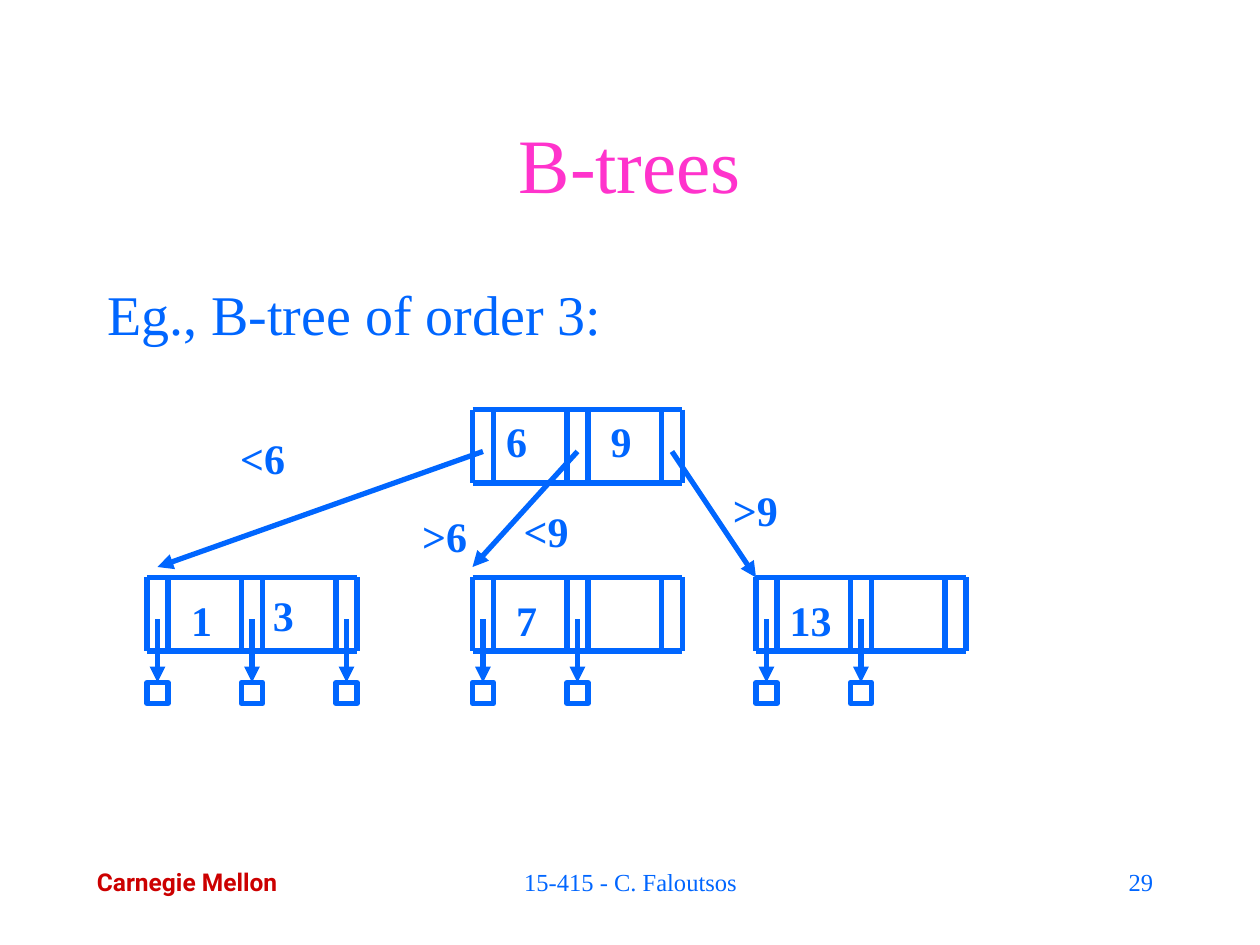
import pptx
import pptx.util
import pptx.dml.color
import pptx.enum.shapes
import pptx.enum.text
import pptx.oxml
import pptx.oxml.ns

COLORS = {"blue": "0066FF", "pink": "FF33CC", "red": "CC0000", "white": "FFFFFF"}
SERIF = "Times New Roman"
ALIGN = pptx.enum.text.PP_ALIGN
ANCHOR = pptx.enum.text.MSO_ANCHOR

# Content: the tree is laid out on a grid of 12 units to the inch
TITLE = "B-trees"
BODY = "Eg., B-tree of order 3:"
DIVIDERS = (0, 2, 9, 11, 18, 20)  # node walls, from the node's left side
POINTER_SLOTS = (0, 9, 18)
NODE_WIDTH, NODE_HEIGHT, SLOT = 20, 7, 2
ROOT_TOP, LEAF_TOP, RECORD_TOP = 39, 55, 65
ROOT_LEFT = 45
LEAVES = [(14, 3), (45, 2), (72, 2)]  # left, number of records
BRANCH_ENDS = [(15, 54), (45, 54), (72, 55)]
# text, left, top, width in inches
LABELS = [
    ("1", 1.42, 4.67, 0.36), ("3", 2.07, 4.63, 0.36),
    ("6", 3.92, 3.25, 0.36), ("7", 4, 4.67, 0.36),
    ("9", 4.75, 3.25, 0.36), ("13", 6.17, 4.67, 0.53),
    ("<6", 1.81, 3.38, 0.55), (">6", 3.25, 4, 0.56),
    ("<9", 4.06, 3.96, 0.55), (">9", 5.72, 3.8, 0.55),
]
# text, left, width, height, alignment, font, color, bold
FOOTERS = [
    ("Carnegie Mellon", 0.67, 1.81, 0.34, ALIGN.LEFT, "Roboto", "red", True),
    ("15-415 - C. Faloutsos", 3.42, 3.17, 0.5, ALIGN.CENTER, SERIF, "blue", False),
    ("29", 7.17, 2.08, 0.5, ALIGN.RIGHT, SERIF, "blue", False),
]

presentation = pptx.Presentation()
presentation.slide_width = pptx.util.Inches(10)
presentation.slide_height = pptx.util.Inches(7.5)
slide = presentation.slides.add_slide(presentation.slide_layouts[1])


def color(name):
    return pptx.dml.color.RGBColor.from_string(COLORS[name])


def grid(units):
    return pptx.util.Inches(units / 12)


def place(shape, left, top, width, height):
    shape.left, shape.top = pptx.util.Inches(left), pptx.util.Inches(top)
    shape.width, shape.height = pptx.util.Inches(width), pptx.util.Inches(height)


def write(shape, text, size, color_name, align, font_name=SERIF, bold=False,
          wrap=True, anchor=ANCHOR.TOP):
    frame = shape.text_frame
    frame.text = text
    frame.auto_size = pptx.enum.text.MSO_AUTO_SIZE.NONE
    frame.word_wrap = wrap
    frame.vertical_anchor = anchor
    paragraph = frame.paragraphs[0]
    paragraph.alignment = align
    paragraph.space_before = pptx.util.Pt(0)
    font = paragraph.runs[0].font
    font.name, font.size, font.bold = font_name, pptx.util.Pt(size), bold
    font.color.rgb = color(color_name)


def add_line(start, end, arrow=False):
    line = slide.shapes.add_connector(
        pptx.enum.shapes.MSO_CONNECTOR.STRAIGHT, *map(grid, start + end))
    line.line.color.rgb = color("blue")
    line.line.width = pptx.util.Pt(3)
    properties = line._element.spPr
    if arrow:
        tail = pptx.oxml.parse_xml(
            f'<a:tailEnd {pptx.oxml.ns.nsdecls("a")} type="triangle"/>')
        line.line._get_or_add_ln().append(tail)
    properties.append(pptx.oxml.parse_xml(
        f'<a:effectLst {pptx.oxml.ns.nsdecls("a")}/>'))
    return line


def add_node(left, top):
    bottom = top + NODE_HEIGHT
    for offset in DIVIDERS:
        add_line((left + offset, top), (left + offset, bottom))
    for y in (top, bottom):
        add_line((left, y), (left + NODE_WIDTH, y))


def add_record(left):
    record = slide.shapes.add_shape(
        pptx.enum.shapes.MSO_SHAPE.RECTANGLE,
        grid(left), grid(RECORD_TOP), grid(SLOT), grid(SLOT))
    record.shadow.inherit = False
    record.fill.solid()
    record.fill.fore_color.rgb = color("white")
    record.line.color.rgb = color("blue")
    record.line.width = pptx.util.Pt(3)
    center = left + SLOT / 2
    pointer = add_line((center, LEAF_TOP + 4), (center, RECORD_TOP), arrow=True)
    pointer.end_connect(record, 0)


# Title and body
title = slide.shapes.title
place(title, 0.75, 0.67, 8.5, 1.25)
write(title, TITLE, 44, "pink", ALIGN.CENTER, anchor=ANCHOR.MIDDLE)

body = slide.placeholders[1]
place(body, 0.75, 2.17, 8.5, 0.67)
write(body, BODY, 32, "blue", ALIGN.LEFT)
body_properties = body.text_frame.paragraphs[0]._p.get_or_add_pPr()
body_properties.set("marL", str(pptx.util.Inches(0.38)))
body_properties.set("indent", str(-pptx.util.Inches(0.38)))
body_properties.append(pptx.oxml.parse_xml(
    f'<a:buNone {pptx.oxml.ns.nsdecls("a")}/>'))

# Nodes and records
add_node(ROOT_LEFT, ROOT_TOP)
for leaf_left, record_count in LEAVES:
    add_node(leaf_left, LEAF_TOP)
    for slot in POINTER_SLOTS[:record_count]:
        add_record(leaf_left + slot)

# Branches from the root
for slot, branch_end in zip(POINTER_SLOTS, BRANCH_ENDS):
    add_line((ROOT_LEFT + slot + SLOT / 2, ROOT_TOP + 4), branch_end, arrow=True)

# Keys and range labels
for text, left, top, width in LABELS:
    label = slide.shapes.add_textbox(0, 0, 0, 0)
    place(label, left, top, width, 0.5)
    write(label, text, 24, "blue", ALIGN.CENTER, bold=True, wrap=False)

# Footer
for text, left, width, height, align, font_name, color_name, bold in FOOTERS:
    footer = slide.shapes.add_textbox(0, 0, 0, 0)
    place(footer, left, 6.83, width, height)
    write(footer, text, 14, color_name, align, font_name, bold, wrap=not bold)

presentation.save("out.pptx")
